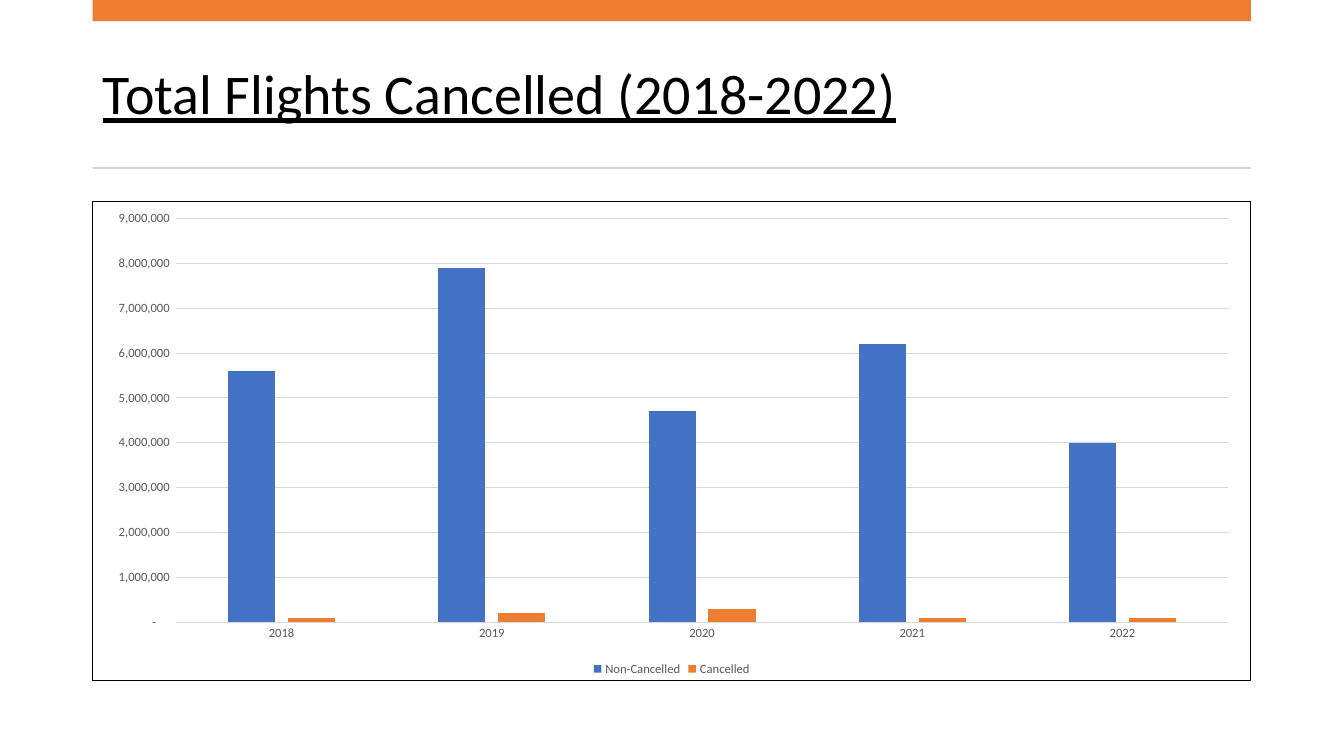
from lxml import etree
from pptx import Presentation
from pptx import util as u
from pptx.chart.data import CategoryChartData
from pptx.dml.color import RGBColor
from pptx.enum import chart as ch, shapes, text
from pptx.oxml import parse_xml
from pptx.oxml.ns import nsdecls, qn

COLORS = {"ink": "000000", "label": "595959", "grid": "D9D9D9", "rule": "D5D5D5",
          "blue": "4472C4", "orange": "ED7D31"}


class Deck:
    """Holds the style and the current slide, with lengths in px of 1/200 inch."""

    scale = 4572
    font = "Calibri"

    def __init__(self, width, height):
        self.prs = Presentation()
        self.prs.slide_width, self.prs.slide_height = self.emu(width, height)
        self.s = self.prs.slides.add_slide(self.prs.slide_layouts[5])

    def emu(self, *lengths):
        return [u.Emu(n * self.scale) for n in lengths]

    def color(self, name):
        return RGBColor.from_string(COLORS[name])

    def apply(self, obj, **values):
        for name, value in values.items():
            setattr(obj, name, value)

    def style(self, font, size, color, **extra):
        self.apply(font, name=self.font, size=u.Pt(size), **extra)
        font.color.rgb = self.color(color)

    def line(self, line, color):
        line.color.rgb = self.color(color)
        line.width = u.Pt(0.75)

    def title(self, words, *box):
        sp = self.s.shapes.title
        self.apply(sp, **dict(zip(("left", "top", "width", "height"), self.emu(*box))))
        tf = sp.text_frame
        self.apply(tf, word_wrap=True, auto_size=text.MSO_AUTO_SIZE.NONE,
                   vertical_anchor=text.MSO_ANCHOR.MIDDLE)
        p = tf.paragraphs[0]
        self.apply(p, alignment=text.PP_ALIGN.LEFT, line_spacing=0.9)
        r = p.add_run()
        r.text = words
        self.style(r.font, 40, "ink", underline=True)

    def bar(self, color, *box):
        sp = self.s.shapes.add_shape(shapes.MSO_SHAPE.RECTANGLE, *self.emu(*box))
        sp.shadow.inherit = False
        sp.fill.solid()
        sp.fill.fore_color.rgb = self.color(color)
        sp.line.fill.background()

    def columns(self, years, series, *box):
        data = CategoryChartData(number_format="#,##0")
        data.categories = years
        for name, _, values in series:
            data.add_series(name, values)
        chart = self.s.shapes.add_chart(
            ch.XL_CHART_TYPE.COLUMN_CLUSTERED, *self.emu(*box), data).chart
        self.style(chart.font, 10, "ink")
        self.apply(chart, has_title=False, has_legend=True)
        self.apply(chart.legend, position=ch.XL_LEGEND_POSITION.BOTTOM,
                   include_in_layout=False)
        self.style(chart.legend.font, 9, "label")

        plot = chart.plots[0]
        self.apply(plot, gap_width=219, overlap=-27, vary_by_categories=False)
        for ser, (_, color, _) in zip(plot.series, series):
            ser.format.fill.solid()
            ser.format.fill.fore_color.rgb = self.color(color)

        cat, val = chart.category_axis, chart.value_axis
        for axis in (cat, val):
            self.apply(axis, major_tick_mark=ch.XL_TICK_MARK.NONE,
                       minor_tick_mark=ch.XL_TICK_MARK.NONE)
            self.style(axis.tick_labels.font, 9, "label")
        self.line(cat.format.line, "grid")
        val.format.line.fill.background()
        self.apply(val, minimum_scale=0, maximum_scale=9000000, major_unit=1000000)
        self.line(val.major_gridlines.format.line, "grid")
        self.apply(val.tick_labels, number_format_is_linked=False,
                   number_format='_(* #,##0_);_(* \\(#,##0\\);_(* "-"??_);_(')
        self.border(chart, "ink")

    def border(self, chart, color):
        frame = parse_xml(f'<c:spPr {nsdecls("c", "a")}/>')
        etree.SubElement(frame, qn("a:noFill"))
        ln = etree.SubElement(frame, qn("a:ln"), w=str(u.Pt(0.75)))
        solid = etree.SubElement(ln, qn("a:solidFill"))
        etree.SubElement(solid, qn("a:srgbClr"), val=COLORS[color])
        chart.element.chart.addnext(frame)


def main():
    deck = Deck(2667, 1500)
    left, width = 184, 2298
    deck.title("Total Flights Cancelled (2018-2022)", left, 74, width, 236)
    deck.bar("orange", left, 0, width, 42)
    deck.bar("rule", left, 331, width, 4)
    deck.columns(
        [str(year) for year in range(2018, 2023)],
        [("Non-Cancelled", "blue", (5600000, 7900000, 4700000, 6200000, 4000000)),
         ("Cancelled", "orange", (100000, 200000, 300000, 100000, 100000))],
        left - 1, 399, width + 2, 952)
    deck.prs.save("out.pptx")


if __name__ == "__main__":
    main()
